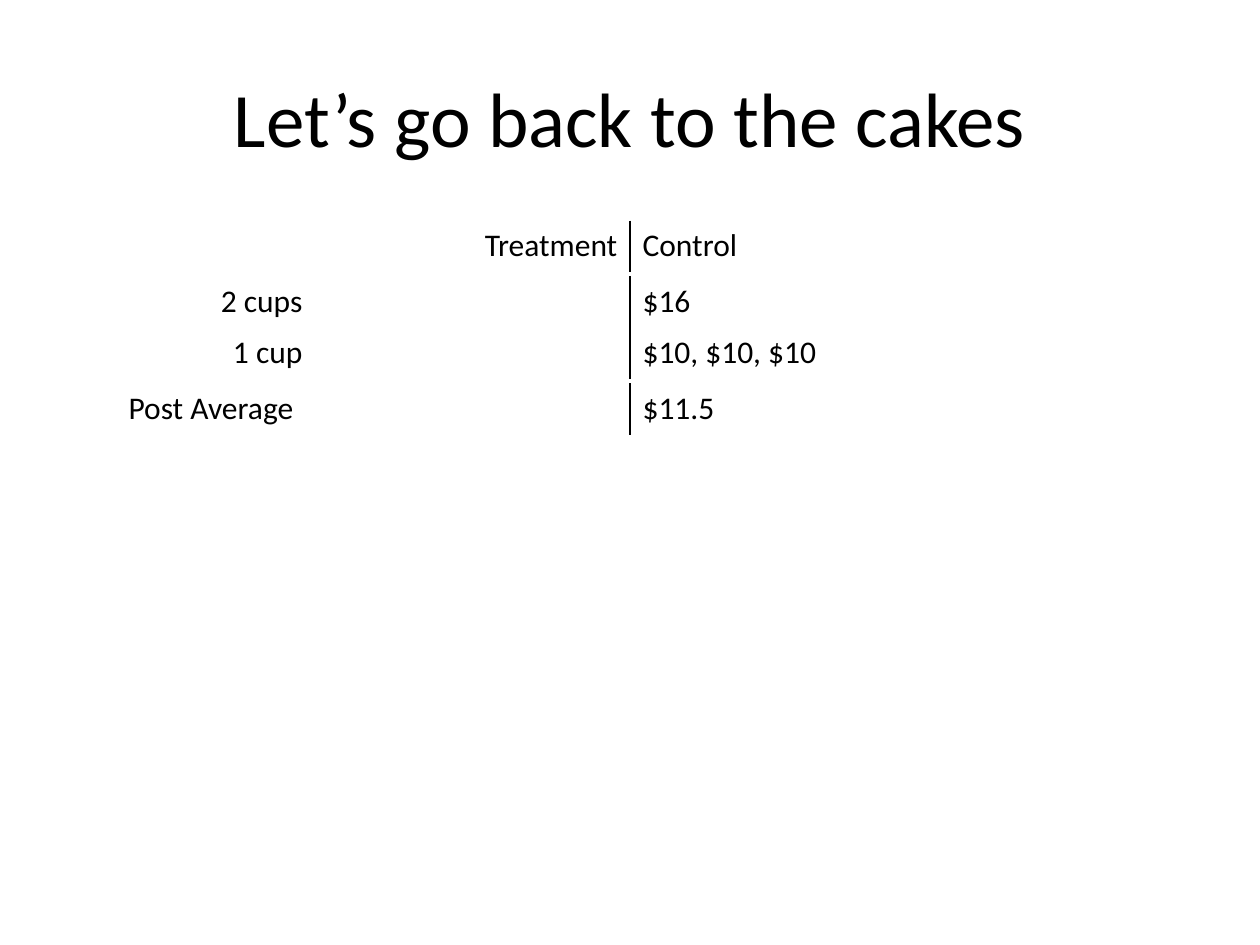
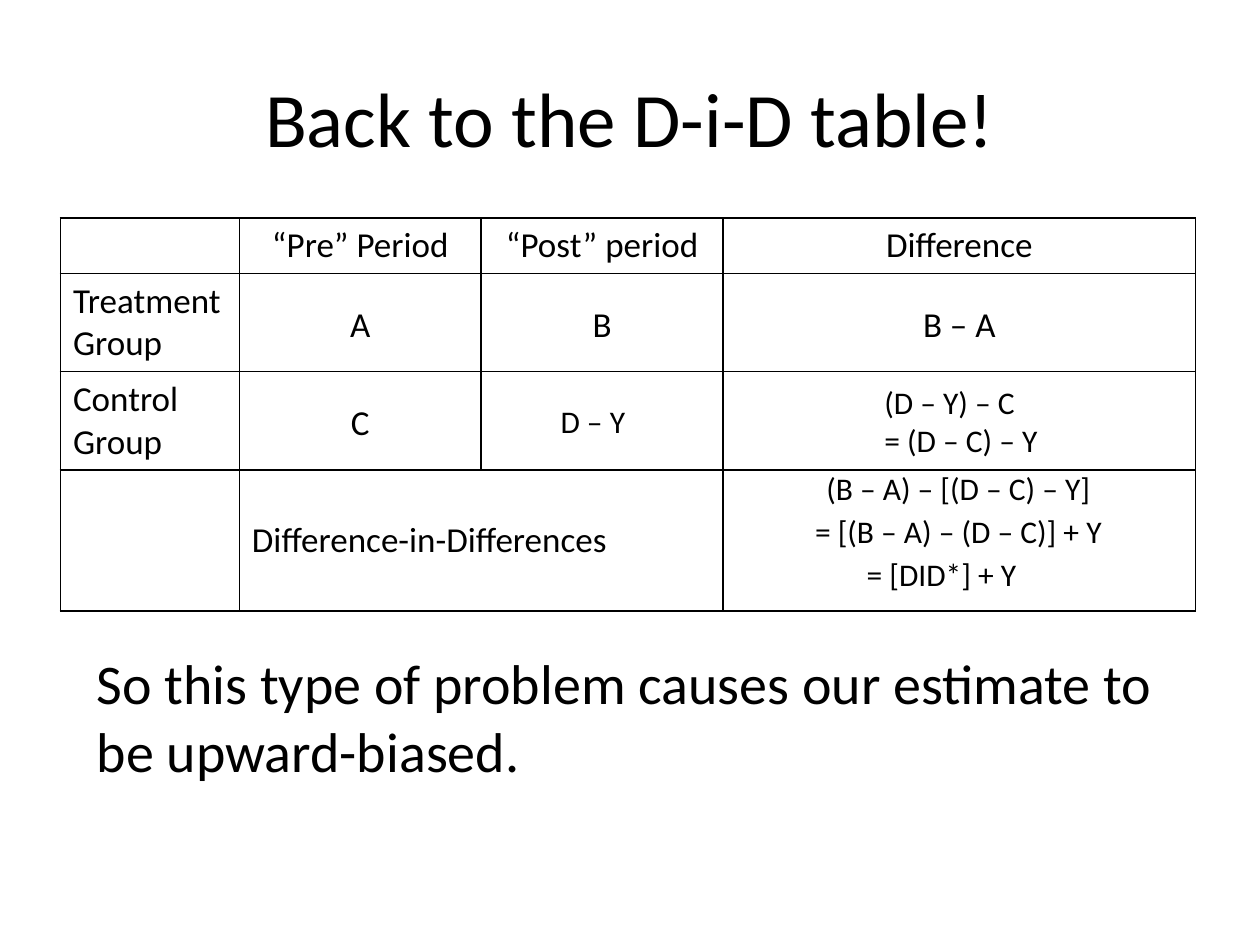
from lxml.etree import SubElement
from pptx import Presentation
from pptx.dml.color import RGBColor
from pptx.enum.text import MSO_ANCHOR, PP_ALIGN
from pptx.oxml.ns import qn
from pptx.util import Inches, Pt

COLS, ROWS = 10, 7.5
W, H = Inches(COLS), Inches(ROWS)
FONT, INK, PAPER = "Calibri", "000000", "FFFFFF"
LEFT, CENTER, RIGHT = PP_ALIGN.LEFT, PP_ALIGN.CENTER, PP_ALIGN.RIGHT
ROW, GAP = 0.41, 0.03


def rgb(value):
    return RGBColor.from_string(value)


def col(n):
    return int(W * n / COLS)


def row(n):
    return int(H * n / ROWS)


def write(tf, text, size, align=LEFT, spacing=None):
    tf.text = text
    for p in tf.paragraphs:
        p.alignment = align
        if spacing:
            p.line_spacing = spacing
        for r in p.runs:
            r.font.name = FONT
            r.font.size = Pt(size)
            r.font.color.rgb = rgb(INK)


def add_text(s, text, x, y, w, h, size=18, align=LEFT, anchor=MSO_ANCHOR.TOP, wrap=True):
    tf = s.shapes.add_textbox(col(x), row(y), col(w), row(h)).text_frame
    tf.word_wrap = wrap
    tf.vertical_anchor = anchor
    write(tf, text, size, align)


def add_slide(prs, title):
    s = prs.slides.add_slide(prs.slide_layouts[6])
    s.background.fill.solid()
    s.background.fill.fore_color.rgb = rgb(PAPER)
    add_text(s, title, 0.5, 0.3, 9, 1.25, 44, CENTER, MSO_ANCHOR.MIDDLE)
    return s


def set_borders(cell, sides):
    tcPr = cell._tc.get_or_add_tcPr()
    for side in "LRTB":
        ln = SubElement(tcPr, qn(f"a:ln{side}"), w=str(Pt(1)))
        if side in sides:
            fill = SubElement(ln, qn("a:solidFill"))
            SubElement(fill, qn("a:srgbClr"), val=INK)
        else:
            SubElement(ln, qn("a:noFill"))


def add_grid(s, x, y, widths, heights, rows, borders, size, aligns):
    frame = s.shapes.add_table(len(heights), len(widths), col(x), row(y),
                               col(sum(widths)), row(sum(heights)))
    table = frame.table
    table.first_row = table.horz_banding = False
    for column, width in zip(table.columns, widths):
        column.width = col(width)
    for line, height in zip(table.rows, heights):
        line.height = row(height)
    for i, texts in enumerate(rows):
        for j, text in enumerate(texts):
            cell = table.cell(i, j)
            set_borders(cell, borders[j])
            cell.fill.background()
            if text:
                write(cell.text_frame, text, size, aligns[j])
    return table


def cakes_slide(prs):
    s = add_slide(prs, "Let’s go back to the cakes")
    blocks = [
        (0.5, [4.5, 4.5], [["Treatment", "Control"]], RIGHT),
        (0.5, [2, 2.5, 3.33], [["2 cups", "", "$16"], ["1 cup", "", "$10, $10, $10"]], RIGHT),
        (0.92, [1.85, 2.23, 3.33], [["Post Average", "", "$11.5"]], LEFT),
    ]
    y = 1.75
    for x, widths, rows, label_align in blocks:
        borders = [""] * (len(widths) - 2) + ["R", "L"]
        aligns = [label_align] + [LEFT] * (len(widths) - 1)
        heights = [ROW] * len(rows)
        add_grid(s, x, y, widths, heights, rows, borders, 18, aligns)
        y += sum(heights) + GAP


def did_slide(prs):
    s = add_slide(prs, "Back to the D-i-D table!")
    rows = [
        ["", "“Pre” Period", "“Post” period", "Difference"],
        ["Treatment\nGroup", "A", "B", "B – A"],
        ["Control\nGroup", "C", "", ""],
        ["", "", "", ""],
    ]
    table = add_grid(s, 0.48, 1.73, [1.42, 1.92, 1.92, 3.75], [0.44, 0.78, 0.78, 1.12],
                     rows, ["LRTB"] * 4, 20, [LEFT] + [CENTER] * 3)
    for i, j in [(1, 1), (1, 2), (1, 3), (2, 1)]:
        cell = table.cell(i, j)
        cell.vertical_anchor = MSO_ANCHOR.MIDDLE
        cell.margin_left = cell.margin_right = Inches(0.07)
        cell.margin_top = cell.margin_bottom = 0
        write(cell.text_frame, rows[i][j], 20, CENTER, 1.15)
    total = table.cell(3, 1)
    total.merge(table.cell(3, 2))
    total.vertical_anchor = MSO_ANCHOR.MIDDLE
    write(total.text_frame, "Difference-in-Differences", 20)

    add_text(s, "D – Y", 4.35, 3.14, 0.72, 0.4, wrap=False)
    add_text(s, "(D – Y) – C\n= (D – C) – Y", 6.92, 2.99, 1.5, 0.71, wrap=False)
    steps = [
        ("(B – A) – [(D – C) – Y]", 6.46, 2.42),
        ("= [(B – A) – (D – C)] + Y", 6.37, 3.11),
        ("= [DID*] + Y", 6.78, 1.64),
    ]
    for i, (text, x, w) in enumerate(steps):
        add_text(s, text, x, 3.67 + 0.69 * i / 2, w, 0.4)
    add_text(s, "So this type of problem causes our estimate to be upward-biased.",
             0.67, 5.1, 9, 1.18, 32)


def main():
    prs = Presentation()
    prs.slide_width, prs.slide_height = W, H
    cakes_slide(prs)
    did_slide(prs)
    prs.save("out.pptx")


if __name__ == "__main__":
    main()
